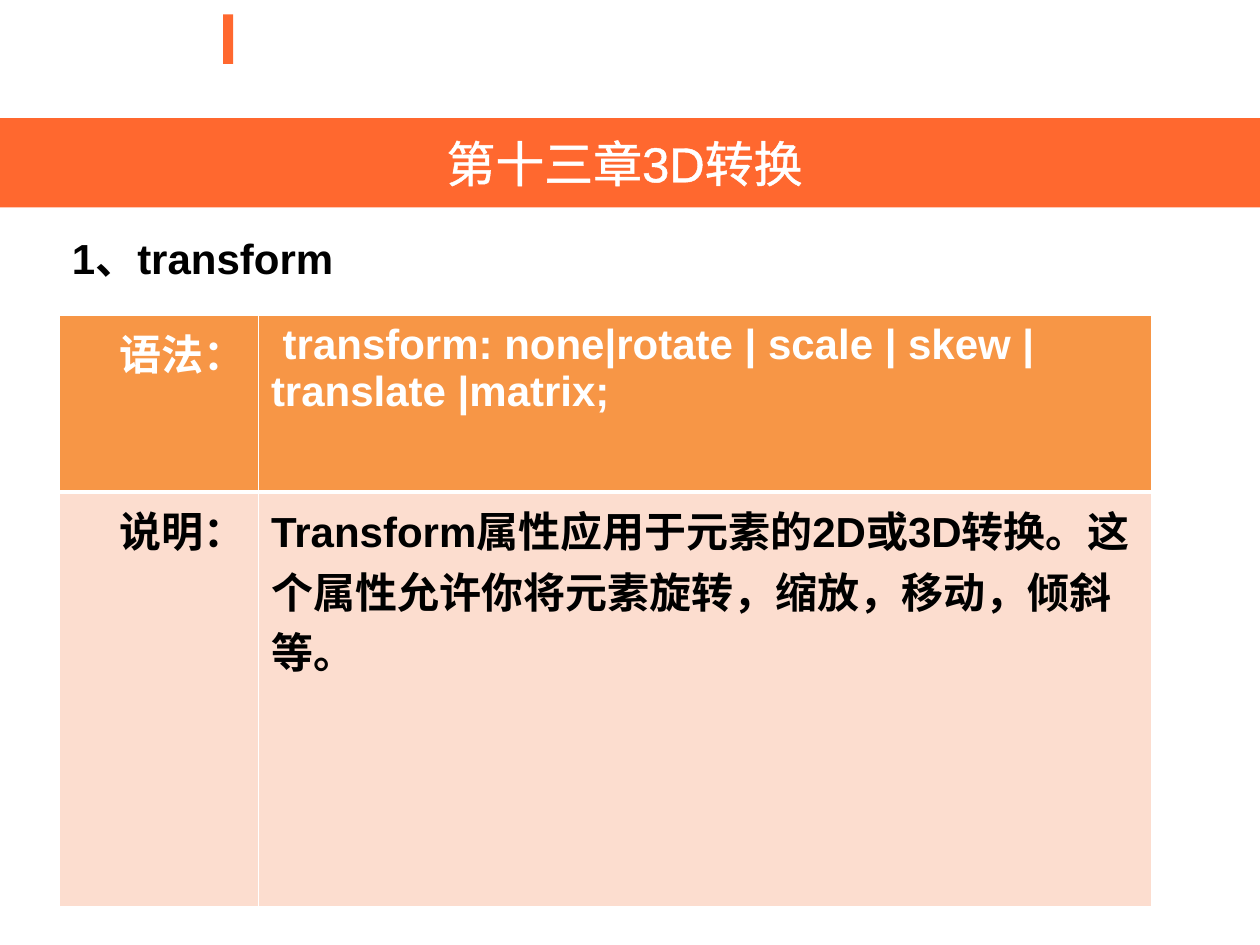
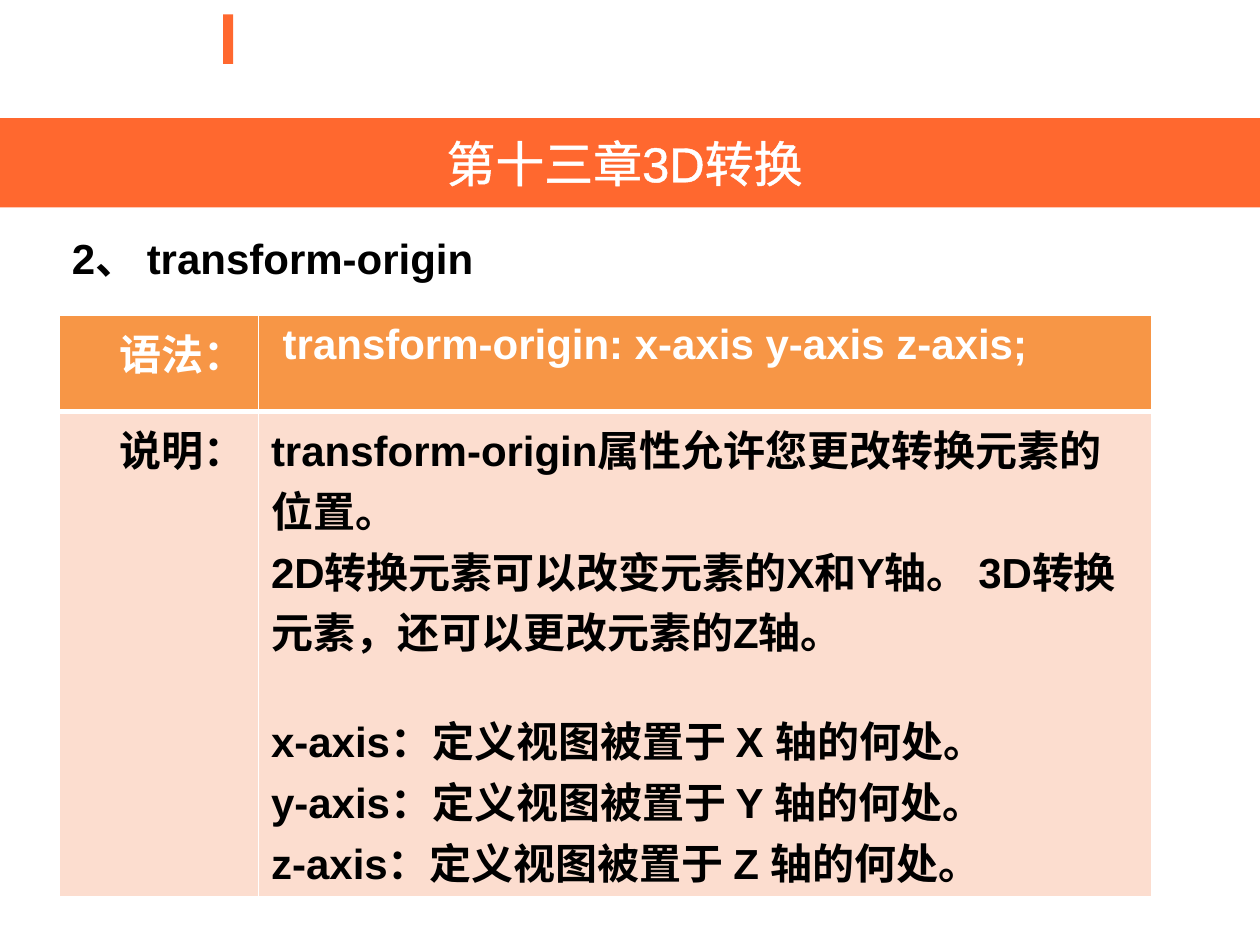
from dataclasses import dataclass

from lxml.etree import SubElement as Sub
from pptx import Presentation
from pptx.dml.color import RGBColor as RGB
from pptx.enum.shapes import MSO_SHAPE as Shape
from pptx.enum.text import MSO_ANCHOR as Anchor
from pptx.enum.text import MSO_AUTO_SIZE as Fit
from pptx.enum.text import PP_ALIGN as Align
from pptx.oxml.ns import qn
from pptx.util import Cm, Pt


@dataclass(frozen=True)
class Theme:
    font: str = "Arial"
    brand: str = "FF682F"
    head: str = "F79646"
    body: str = "FCDDCF"
    light: str = "FFFFFF"
    dark: str = "000000"
    title: int = 28
    text: int = 24
    gap: int = 27


T = Theme()
CHAPTER = "第十三章3D转换\u00a0"
LEFT = Cm(1.2)
COLS = (Cm(4.01), Cm(18.01))

TOPICS = [
    dict(
        name="1、transform",
        rows=(Cm(3.56), Cm(8.36)),
        syntax="\u00a0transform: none|rotate | scale | skew | translate |matrix;",
        notes=[["Transform属性应用于元素的2D或3D转换。这个属性允许你将元素旋转，缩放，移动，倾斜等。"]],
    ),
    dict(
        name="2、 transform-origin",
        rows=(Cm(1.93), Cm(9.78)),
        syntax="\u00a0transform-origin:\u00a0x-axis y-axis z-axis;",
        notes=[
            ["transform-origin属性允许您更改转换元素的位置。",
             "2D转换元素可以改变元素的X和Y轴。 3D转换元素，还可以更改元素的Z轴。"],
            [f"{axis}-axis：定义视图被置于 {axis.upper()} 轴的何处。" for axis in "xyz"],
        ],
    ),
]


def add_run(para, text, size, color, bold=False):
    run = para.add_run()
    run.text = text
    font = run.font
    font.name, font.size, font.bold = T.font, Pt(size), bold
    font.color.rgb = RGB.from_string(color)
    return run


def add_line(parent, tag, color, width):
    """Append a solid line element such as a:ln or a:lnL."""
    line = Sub(parent, qn(tag), w=str(Pt(width)))
    Sub(Sub(line, qn("a:solidFill")), qn("a:srgbClr"), val=color)
    return line


def add_bar(slide, left, top, width, height):
    bar = slide.shapes.add_shape(Shape.RECTANGLE, left, top, width, height)
    bar.shadow.inherit = False
    bar.fill.solid()
    bar.fill.fore_color.rgb = RGB.from_string(T.brand)
    bar.line.fill.background()
    return bar


def add_band(slide, width):
    """Draw the chapter band and the small mark above it."""
    add_bar(slide, Cm(4.5), Cm(0.29), Cm(0.2), Cm(1))
    frame = add_bar(slide, 0, Cm(2.38), width, Cm(1.8)).text_frame
    frame.vertical_anchor = Anchor.MIDDLE
    para = frame.paragraphs[0]
    para.alignment = Align.CENTER
    props = add_run(para, CHAPTER, T.title, T.light).font._element
    props.insert(0, add_line(props, "a:ln", T.light, 1.45))


def add_label(slide, text):
    box = slide.shapes.add_textbox(LEFT, Cm(4.57), Cm(23.01), Cm(1.28))
    frame = box.text_frame
    frame.word_wrap = True
    frame.auto_size = Fit.SHAPE_TO_FIT_TEXT
    add_run(frame.paragraphs[0], text, T.text, T.dark, True)


def fill_cell(cell, groups, color, fill, align, top, base):
    """Write groups of paragraphs, with a gap between groups."""
    props = cell._tc.get_or_add_tcPr()
    for side, width in zip("LRTB", (1, 1, top, base)):
        add_line(props, f"a:ln{side}", T.light, width)
    cell.fill.solid()
    cell.fill.fore_color.rgb = RGB.from_string(fill)
    frame = cell.text_frame
    para = None
    for group in groups:
        for pos, text in enumerate(group):
            first = para is None
            para = frame.paragraphs[0] if first else frame.add_paragraph()
            para.alignment = align
            if pos == 0 and not first:
                para.space_before = Pt(T.gap)
            add_run(para, text, T.text, color, True)


def add_grid(slide, topic):
    rows = topic["rows"]
    grid = slide.shapes.add_table(2, 2, LEFT, Cm(6.36), sum(COLS), sum(rows)).table
    for col, width in zip(grid.columns, COLS):
        col.width = width
    for row, height in zip(grid.rows, rows):
        row.height = height
    lines = [
        ("语法：", [[topic["syntax"]]], T.light, T.head, 1, 3),
        ("说明：", topic["notes"], T.dark, T.body, 3, 1),
    ]
    for row, (label, groups, color, fill, top, base) in enumerate(lines):
        fill_cell(grid.cell(row, 0), [[label]], color, fill, Align.RIGHT, top, base)
        fill_cell(grid.cell(row, 1), groups, color, fill, Align.LEFT, top, base)


def main():
    deck = Presentation()
    deck.slide_width, deck.slide_height = Cm(25.4), Cm(19.05)
    for topic in TOPICS:
        slide = deck.slides.add_slide(deck.slide_layouts[6])
        add_band(slide, deck.slide_width)
        add_label(slide, topic["name"])
        add_grid(slide, topic)
    deck.save("out.pptx")


if __name__ == "__main__":
    main()
